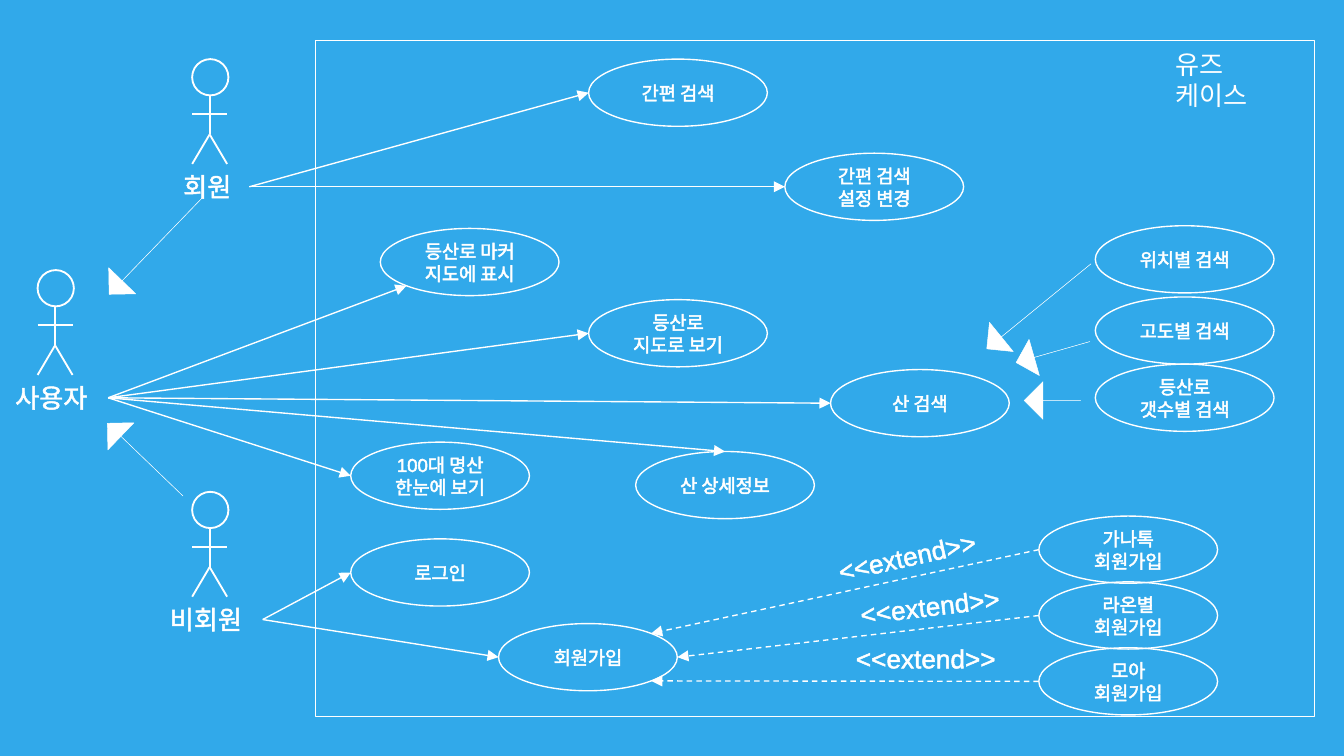
from math import sqrt
from lxml.etree import SubElement
from pptx import Presentation
from pptx.dml.color import RGBColor
from pptx.enum.dml import MSO_LINE
from pptx.enum.shapes import MSO_CONNECTOR, MSO_SHAPE
from pptx.enum.text import MSO_ANCHOR, MSO_AUTO_SIZE, PP_ALIGN
from pptx.oxml.ns import qn
from pptx.util import Inches, Pt

WHITE = RGBColor(0xFF, 0xFF, 0xFF)
BLUE = RGBColor(0x31, 0xA9, 0xEA)

SYSTEM = (2.35, 0.3, 7.43, 5.03)
TITLE = ("유즈 케이스", 8.65, 0.31, 1.11)
ACTORS = [
    ("회원", 1.43, 0.44, 0.59),
    ("비회원", 1.43, 3.66, 0.79),
    ("사용자", 0.28, 2.01, 0.79),
]
CASE_W, CASE_H = 1.33, 0.5
CASES = {
    "100대 명산 한눈에 보기": (2.61, 3.29),
    "산 검색": (6.18, 2.75),
    "위치별 검색": (8.15, 1.68),
    "고도별 검색": (8.15, 2.21),
    "등산로 갯수별 검색": (8.15, 2.71),
    "산 상세정보": (4.73, 3.36),
    "등산로 지도로 보기": (4.38, 2.23),
    "등산로 마커 지도에 표시": (2.83, 1.7),
    "간편 검색": (4.38, 0.44),
    "회원가입": (3.71, 4.64),
    "간편 검색 설정 변경": (5.84, 1.14),
    "로그인": (2.61, 4.01),
    "가나톡 회원가입": (7.73, 3.84),
    "라온별 회원가입": (7.73, 4.33),
    "모아 회원가입": (7.73, 4.82),
}
USES = [
    ("사용자", "100대 명산 한눈에 보기", "left"),
    ("사용자", "산 검색", "left"),
    ("사용자", "등산로 지도로 보기", "left"),
    ("사용자", "등산로 마커 지도에 표시", "bottom left"),
    ("사용자", "산 상세정보", "top"),
    ("회원", "간편 검색", "left"),
    ("회원", "간편 검색 설정 변경", "left"),
    ("비회원", "회원가입", "left"),
    ("비회원", "로그인", "left"),
]
EXTENDS = [
    ("가나톡 회원가입", "top right", 6.13, 3.97, 347.3),
    ("라온별 회원가입", "right", 6.3, 4.34, 353.1),
    ("모아 회원가입", "bottom right", 6.27, 4.73, 0),
]
GENERALIZATIONS = [
    (7.62, 2.84, 0.42, 0),
    (7.55, 2.48, 0.57, 344.1),
    (7.23, 2.14, 1, 320.8),
    (0.66, 1.69, 1, 314),
    (0.69, 3.28, 0.78, 43.9),
]
DIAG = sqrt(0.5)
SIDES = {
    "left": (-1, 0), "right": (1, 0), "top": (0, -1),
    "bottom left": (-DIAG, DIAG),
    "top right": (DIAG, -DIAG), "bottom right": (DIAG, DIAG),
}

prs = Presentation()
prs.slide_width = Inches(10)
prs.slide_height = prs.slide_width * 9 // 16
slide = prs.slides.add_slide(prs.slide_layouts[6])
slide.background.fill.solid()
slide.background.fill.fore_color.rgb = BLUE


def write(shape, text, size=14, font="Arial", align=None, outlined=True):
    paragraph = shape.text_frame.paragraphs[0]
    paragraph.alignment = align
    run = paragraph.add_run()
    run.text = text
    run.font.size, run.font.name = Pt(size), font
    run.font.color.rgb = WHITE
    if outlined:
        props = run.font._element
        outline = SubElement(props, qn("a:ln"), w=str(Pt(0.75)))
        fill = SubElement(outline, qn("a:solidFill"))
        SubElement(fill, qn("a:srgbClr"), val=str(WHITE))
        props.insert(0, outline)


def label(parent, text, x, y, w, wrap=False, **style):
    box = parent.add_textbox(*map(Inches, (x, y, w, 0.34)))
    box.text_frame.word_wrap = wrap
    box.text_frame.auto_size = MSO_AUTO_SIZE.SHAPE_TO_FIT_TEXT
    write(box, text, **style)
    return box


def outline_shape(parent, kind, x, y, w, h, weight=0.75):
    shape = parent.add_shape(kind, *map(Inches, (x, y, w, h)))
    shape.shadow.inherit = False
    shape.fill.background()
    shape.line.color.rgb = WHITE
    shape.line.width = Pt(weight)
    return shape


def line(parent, start, end, weight=0.75, arrow=False, dashed=False):
    connector = parent.add_connector(MSO_CONNECTOR.STRAIGHT, *map(Inches, start + end))
    connector.line.color.rgb = WHITE
    connector.line.width = Pt(weight)
    if dashed:
        connector.line.dash_style = MSO_LINE.DASH
    if arrow:
        SubElement(connector.line._get_or_add_ln(), qn("a:tailEnd"), type="triangle")
    SubElement(connector._element.spPr, qn("a:effectLst"))
    return connector


def actor(name, x, y, label_w):
    group = slide.shapes.add_group_shape().shapes
    mid, hip, foot = x + 0.13, y + 0.56, y + 0.78
    outline_shape(group, MSO_SHAPE.OVAL, x, y, 0.27, 0.27, weight=1)
    for start, end in [
        ((mid, y + 0.27), (mid, hip)),
        ((x, y + 0.41), (x + 0.26, y + 0.41)),
        ((mid, hip), (x, foot)),
        ((mid, hip), (x + 0.26, foot)),
    ]:
        line(group, start, end, weight=1)
    return label(group, name, mid - label_w / 2, foot, label_w)


def case_point(case, side):
    x, y = CASES[case]
    dx, dy = SIDES[side]
    return x + CASE_W / 2 * (1 + dx), y + CASE_H / 2 * (1 + dy)


outline_shape(slide.shapes, MSO_SHAPE.RECTANGLE, *SYSTEM)
actor_labels = {name: actor(name, *place) for name, *place in ACTORS}

for case, (x, y) in CASES.items():
    oval = outline_shape(slide.shapes, MSO_SHAPE.OVAL, x, y, CASE_W, CASE_H)
    oval.text_frame.word_wrap = True
    oval.text_frame.vertical_anchor = MSO_ANCHOR.MIDDLE
    write(oval, case, size=10, align=PP_ALIGN.CENTER)

for x, y, length, angle in GENERALIZATIONS:
    arrow = outline_shape(slide.shapes, MSO_SHAPE.LEFT_ARROW, x, y, length, 0.28, weight=0.25)
    arrow.adjustments[0], arrow.adjustments[1] = 0, 0.5
    arrow.fill.solid()
    arrow.fill.fore_color.rgb = WHITE
    arrow.rotation = angle

for user, case, side in USES:
    target = case_point(case, side)
    line(slide.shapes, target, target, arrow=True).begin_connect(actor_labels[user], 3)

for case, side, x, y, angle in EXTENDS:
    line(slide.shapes, case_point(case, "left"), case_point("회원가입", side),
         arrow=True, dashed=True)
    label(slide.shapes, "<<extend>>", x, y, 1.25).rotation = angle

label(slide.shapes, *TITLE, wrap=True, font="Noto Sans CJK KR", outlined=False)

prs.save("out.pptx")
